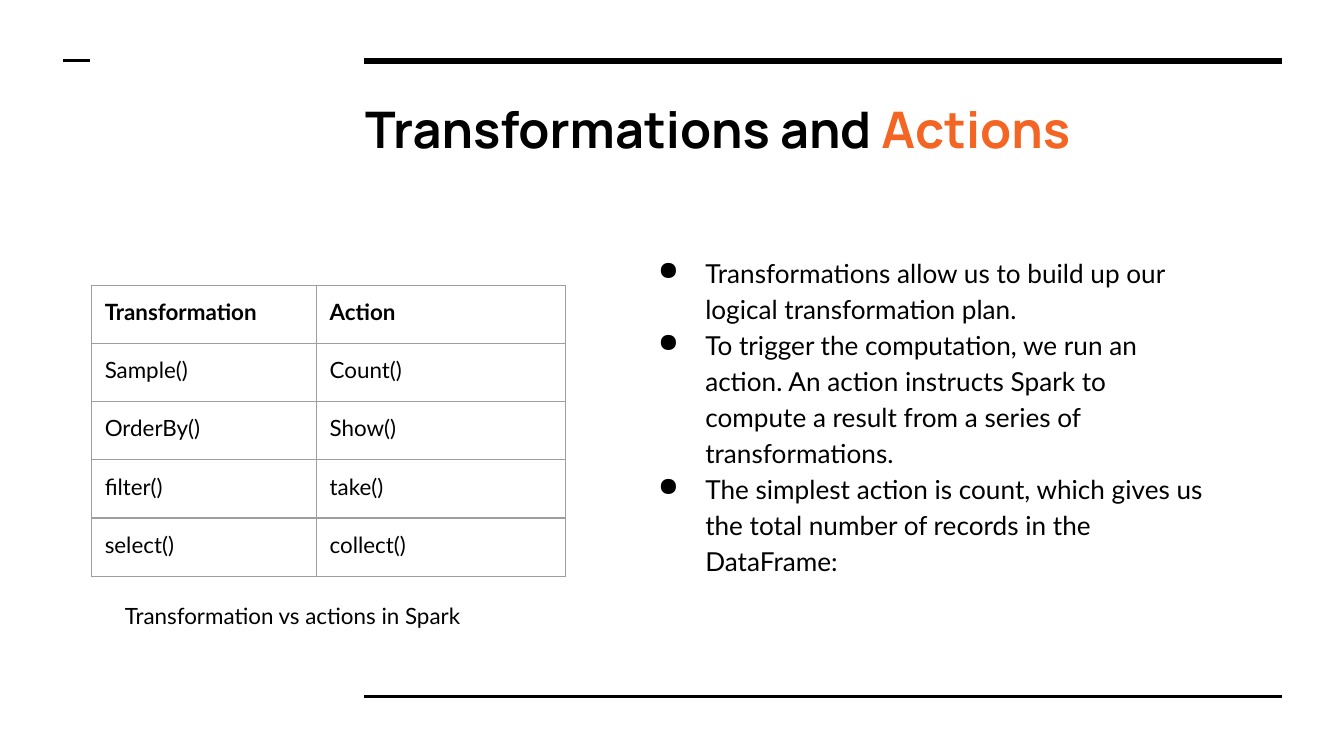
import pptx
import pptx.dml.color
import pptx.enum.shapes
import pptx.enum.text
import pptx.oxml
import pptx.oxml.ns
import pptx.util
from lxml import etree

Cm, Pt = pptx.util.Cm, pptx.util.Pt
BLACK, ORANGE, GREY = "000000", "F46524", "9E9E9E"


def color(hex_value):
    return pptx.dml.color.RGBColor.from_string(hex_value)


def add_text(paragraph, text, font, size, hex_value=BLACK, bold=False):
    run = paragraph.add_run()
    run.text = text
    for name, value in {"name": font, "size": Pt(size), "bold": bold}.items():
        setattr(run.font, name, value)
    run.font.color.rgb = color(hex_value)


presentation = pptx.Presentation()
presentation.slide_width, presentation.slide_height = Cm(25.4), Cm(14.29)
slide = presentation.slides.add_slide(presentation.slide_layouts[5])

frame_format = {
    "word_wrap": True,
    "auto_size": pptx.enum.text.MSO_AUTO_SIZE.NONE,
    "vertical_anchor": pptx.enum.text.MSO_ANCHOR.TOP,
    "margin_left": Cm(0.25),
    "margin_right": Cm(0.25),
    "margin_top": Cm(0.25),
    "margin_bottom": Cm(0.25),
}

# Rules at the top and bottom
for left, right, y, weight in [
    (6.88, 24.23, 1.15, 3),
    (6.88, 24.23, 13.16, 1.5),
    (1.19, 1.7, 1.15, 1.5),
]:
    rule = slide.shapes.add_connector(
        pptx.enum.shapes.MSO_CONNECTOR.STRAIGHT, Cm(left), Cm(y), Cm(right), Cm(y)
    )
    rule.line.color.rgb = color(BLACK)
    rule.line.width = Pt(weight)
    etree.SubElement(rule._element.spPr, pptx.oxml.ns.qn("a:effectLst"))

# Title, explanation and table caption
title = slide.shapes.title
explanation = slide.shapes.add_textbox(0, 0, 0, 0)
caption = slide.shapes.add_textbox(0, 0, 0, 0)
for block, left, top, width, height in [
    (title, 6.65, 1.6, 17.55, 1.75),
    (explanation, 11.81, 4.52, 11.38, 8.33),
    (caption, 2.11, 11.13, 8.2, 1.02),
]:
    block.left, block.top, block.width, block.height = map(Cm, (left, top, width, height))
    for name, value in frame_format.items():
        setattr(block.text_frame, name, value)

heading = title.text_frame.paragraphs[0]
heading.alignment = pptx.enum.text.PP_ALIGN.LEFT
add_text(heading, "Transformations and ", "Manrope", 27, bold=True)
add_text(heading, "Actions", "Manrope", 27, ORANGE, True)

add_text(caption.text_frame.paragraphs[0], "Transformation vs actions in Spark", "Lato", 12)

# Bulleted explanation
points = [
    "Transformations allow us to build up our logical transformation plan.",
    "To trigger the computation, we run an action. An action instructs Spark to "
    "compute a result from a series of transformations.",
    "The simplest action is count, which gives us the total number of records in "
    "the DataFrame:",
]
for index, point in enumerate(points):
    frame = explanation.text_frame
    paragraph = frame.add_paragraph() if index else frame.paragraphs[0]
    paragraph.line_spacing = 1.15
    add_text(paragraph, point, "Lato", 14)
    properties = paragraph._p.get_or_add_pPr()
    properties.set("marL", str(Cm(1.27)))
    properties.set("indent", str(Cm(-0.89)))
    etree.SubElement(properties, pptx.oxml.ns.qn("a:buChar"), char="●")

# Table of transformations and actions
methods = [
    ("Transformation", "Action"),
    ("Sample()", "Count()"),
    ("OrderBy()", "Show()"),
    ("filter()", "take()"),
    ("select()", "collect()"),
]
column_widths, row_height = (4.25, 4.7), 1.1
table = slide.shapes.add_table(
    len(methods), 2, Cm(1.73), Cm(5.39), Cm(sum(column_widths)), Cm(row_height * len(methods))
).table
table.first_row = table.horz_banding = False
for column, width in zip(table.columns, column_widths):
    column.width = Cm(width)

cell_format = {name: value for name, value in frame_format.items()
               if name.startswith(("margin", "vertical"))}
for row, names in enumerate(methods):
    table.rows[row].height = Cm(row_height)
    for column, method in enumerate(names):
        cell = table.cell(row, column)
        for name, value in cell_format.items():
            setattr(cell, name, value)
        add_text(cell.text_frame.paragraphs[0], method, "Lato", 12, bold=row == 0)
        cell_properties = cell._tc.get_or_add_tcPr()
        for side in ("lnL", "lnR", "lnT", "lnB"):
            cell_properties.append(pptx.oxml.parse_xml(
                f'<a:{side} {pptx.oxml.ns.nsdecls("a")} w="{Pt(0.75)}"><a:solidFill>'
                f'<a:srgbClr val="{GREY}"/></a:solidFill></a:{side}>'
            ))
        cell.fill.background()

presentation.save("out.pptx")
